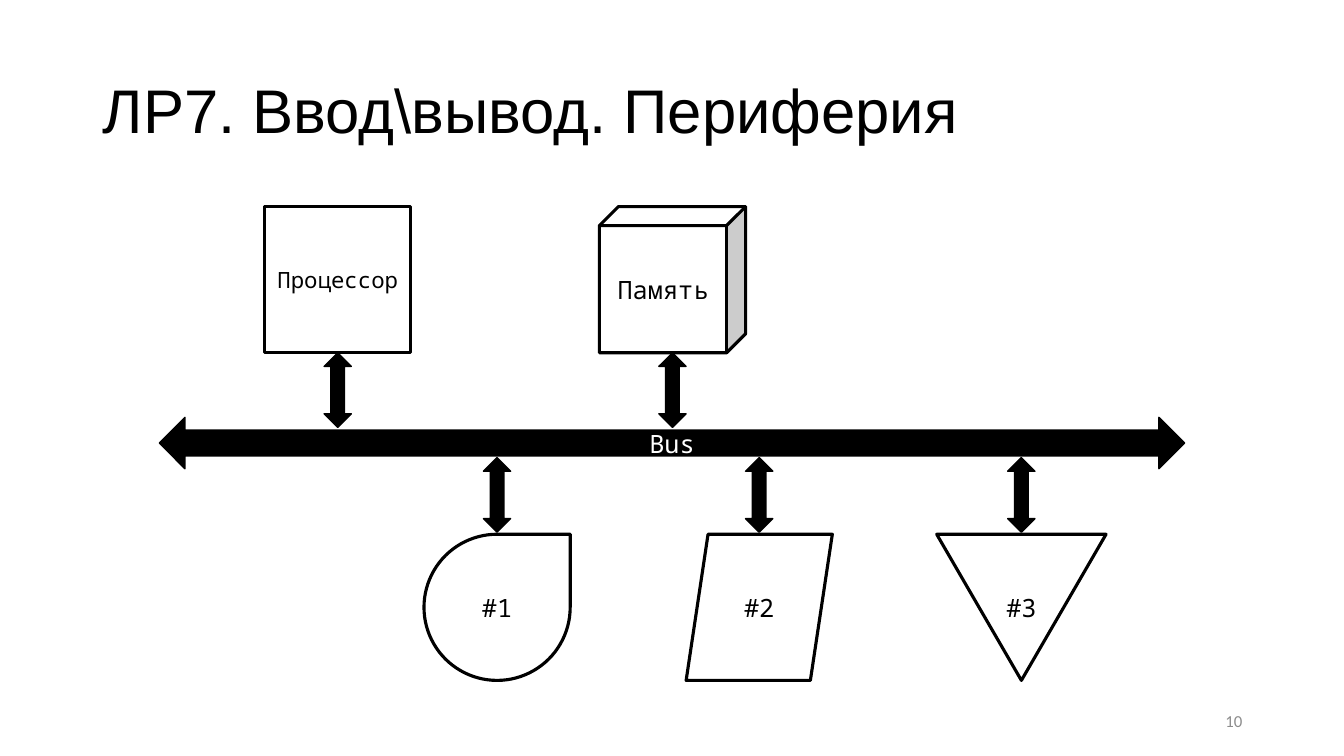
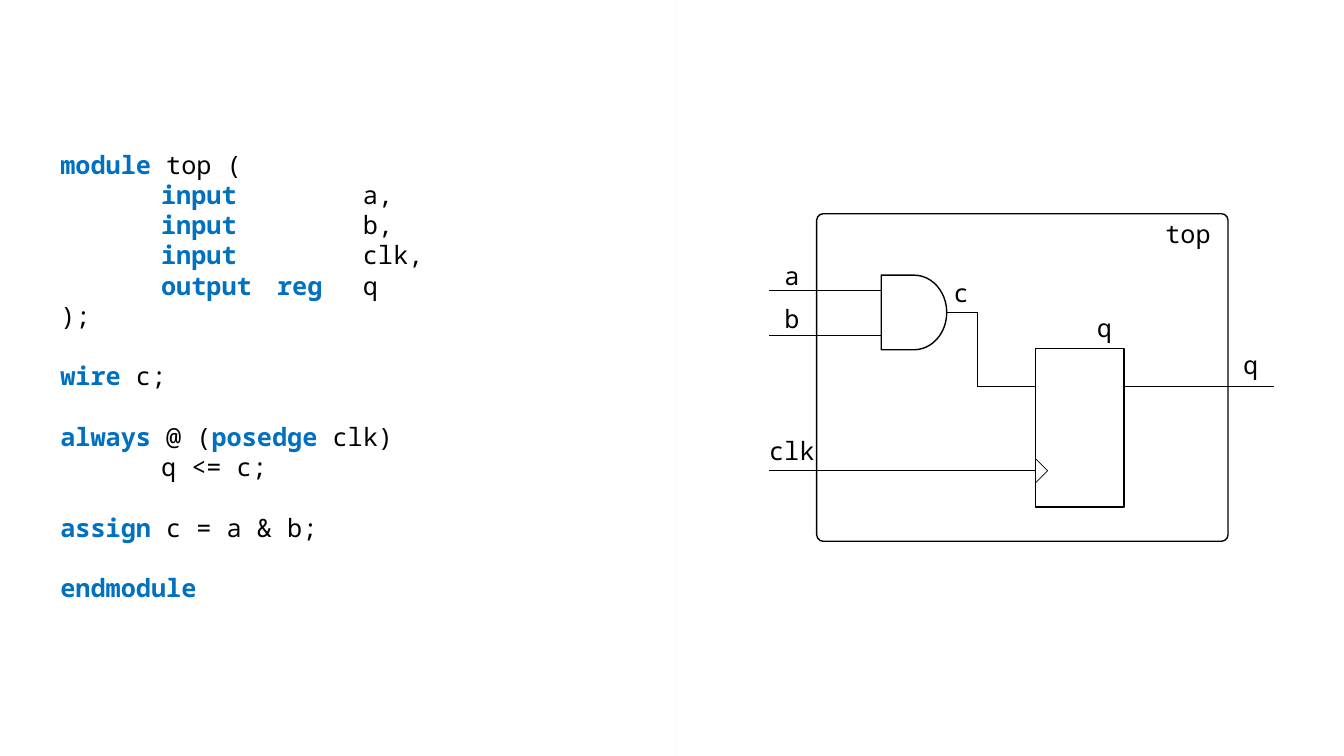
"""Build two slides: a processor bus with peripherals, and a Verilog module with its schematic."""
from dataclasses import dataclass
from itertools import pairwise

from lxml import etree
from pptx import Presentation
from pptx import util as u
from pptx.dml.color import RGBColor
from pptx.enum import shapes, text
from pptx.oxml.ns import qn


@dataclass(frozen=True)
class Theme:
    black: str = "000000"
    white: str = "FFFFFF"
    keyword: str = "0070C0"
    muted: str = "8C8C8C"
    divider: str = "F9F9F9"
    heading: str = "Arial"
    footer: str = "Calibri"
    mono: str = "Noto Sans Mono"
    title_size: float = 44
    body_size: float = 18
    small_size: float = 16
    footer_size: float = 12
    heavy: float = 2.25
    thin: float = 1
    hairline: float = 0.5
    code_gap: float = 21.6


T = Theme()
KIND = shapes.MSO_SHAPE
ALIGN = text.PP_ALIGN
WIDTH, HEIGHT = 13.33, 7.5

TITLE = "ЛР7. Ввод\\вывод. Периферия"
PAGE_NUMBER = "10"
BUS = ("Bus", (1.58, 4.14, 10.17, 0.51))
BLOCK = 1.45
ARROW_WIDTH, ARROW_HEIGHT = 0.27, 0.74
CORES_TOP, CORE_ARROWS_TOP = 2.05, 3.5
DEVICES_TOP, DEVICE_ARROWS_TOP = 5.3, 4.54
CORES = [
    ("Процессор", KIND.RECTANGLE, 3.35, T.small_size, None),
    ("Память", KIND.CUBE, 6.67, T.body_size, 0.13),
]
FIRST_DEVICE, DEVICE_STEP = 4.93, 2.6
DEVICES = [
    ("#1", KIND.TEAR, BLOCK, None),
    ("#2", KIND.PARALLELOGRAM, BLOCK, 0.15),
    ("#3", KIND.ISOSCELES_TRIANGLE, 1.68, None),
]

CODE_TABS = (1, 2.15, 3)
CODE = [
    ["|module| top (",
     "\t|input|\t\ta,",
     "\t|input|\t\tb,",
     "\t|input|\t\tclk,",
     "\t|output\treg|\tq",
     ");"],
    ["|wire| c;"],
    ["|always| @ (|posedge| clk)",
     "\tq <= c;"],
    ["|assign| c = a & b;"],
    ["|endmodule|"],
]
MODULE = (8.1, 2.12, 4.08, 3.25)
GATE = (8.74, 2.73, 0.65, 0.74)
REGISTER = (10.27, 3.46, 0.88, 1.57)
PIN_START, MODULE_LEFT, GATE_LEFT, BEND = 7.63, 8.1, 8.74, 9.69
GATE_RIGHT, REGISTER_LEFT, REGISTER_RIGHT = 9.39, 10.27, 11.15
MODULE_RIGHT, PIN_END = 12.17, 12.64
A_Y, B_Y, C_Y, Q_Y, CLOCK_Y, NOTCH = 2.88, 3.33, 3.1, 3.83, 4.67, 0.12
GATE_WIRE = [(GATE_RIGHT, C_Y), (BEND, C_Y), (BEND, Q_Y), (REGISTER_LEFT, Q_Y)]
WIRES = [
    [(PIN_START, A_Y), (MODULE_LEFT, A_Y), (GATE_LEFT, A_Y)],
    [(PIN_START, B_Y), (MODULE_LEFT, B_Y), (GATE_LEFT, B_Y)],
    [(PIN_START, CLOCK_Y), (MODULE_LEFT, CLOCK_Y), (REGISTER_LEFT, CLOCK_Y)],
    [(REGISTER_RIGHT, Q_Y), (MODULE_RIGHT, Q_Y), (PIN_END, Q_Y)],
    [(REGISTER_LEFT, CLOCK_Y - NOTCH), (REGISTER_LEFT + NOTCH, CLOCK_Y),
     (REGISTER_LEFT, CLOCK_Y + NOTCH)],
]
LABEL_WIDTH, WIDE_LABEL, LABEL_HEIGHT = 0.35, 0.66, 0.4
LABELS = [
    ("top", 11.46, 2.12), ("a", 7.68, 2.53), ("b", 7.68, 2.96), ("clk", 7.53, 4.27),
    ("q", 12.23, 3.42), ("c", 9.36, 2.7), ("q", 10.78, 3.05),
]


def inches(values):
    return [u.Inches(value) for value in values]


def style(font, size=T.body_size, name=T.mono, color=T.black, bold=False):
    font.size, font.name, font.bold = u.Pt(size), name, bold
    font.color.rgb = RGBColor.from_string(color)


def write(item, words, align=ALIGN.CENTER, **look):
    frame = item.text_frame
    frame.text = words
    frame.vertical_anchor = text.MSO_ANCHOR.MIDDLE
    paragraph = frame.paragraphs[0]
    paragraph.alignment = align
    for run in paragraph.runs:
        style(run.font, **look)
    return paragraph


def add_text(slide, words, box, align=ALIGN.LEFT, wrap=True, **look):
    item = slide.shapes.add_textbox(*inches(box))
    item.text_frame.word_wrap = wrap
    return write(item, words, align, **look)


def add_outline(slide, kind, box, fill=None, width=T.thin, adjust=None):
    item = slide.shapes.add_shape(kind, *inches(box))
    item.shadow.inherit = False
    if fill:
        item.fill.solid()
        item.fill.fore_color.rgb = RGBColor.from_string(fill)
    else:
        item.fill.background()
    item.line.color.rgb = RGBColor.from_string(T.black)
    item.line.width = u.Pt(width)
    if adjust is not None:
        item.adjustments[0] = adjust
    return item


def add_wire(slide, points, color=T.black):
    segments = []
    for start, end in pairwise(points):
        segment = slide.shapes.add_connector(
            shapes.MSO_CONNECTOR.STRAIGHT, *inches(start + end))
        segment.line.color.rgb = RGBColor.from_string(color)
        segment.line.width = u.Pt(T.hairline)
        etree.SubElement(segment._element.spPr, qn("a:effectLst"))
        segments.append(segment)
    return segments


def add_bus_arrow(slide, center, top):
    add_outline(slide, KIND.UP_DOWN_ARROW,
                (center - ARROW_WIDTH / 2, top, ARROW_WIDTH, ARROW_HEIGHT), T.black)


def build_bus(slide):
    heading = add_text(slide, TITLE, (0.92, 0.4, 11.5, 1.45),
                       size=T.title_size, name=T.heading)
    heading.line_spacing = 0.9
    add_text(slide, PAGE_NUMBER, (9.42, 6.95, 3, 0.4), ALIGN.RIGHT,
             size=T.footer_size, name=T.footer, color=T.muted)
    bus_name, bus_box = BUS
    bus = add_outline(slide, KIND.LEFT_RIGHT_ARROW, bus_box, T.black)
    write(bus, bus_name, color=T.white)
    for name, kind, center, size, adjust in CORES:
        box = (center - BLOCK / 2, CORES_TOP, BLOCK, BLOCK)
        write(add_outline(slide, kind, box, T.white, T.heavy, adjust), name, size=size)
        add_bus_arrow(slide, center, CORE_ARROWS_TOP)
    for index, (name, kind, width, adjust) in enumerate(DEVICES):
        center = FIRST_DEVICE + index * DEVICE_STEP
        box = (center - width / 2, DEVICES_TOP, width, BLOCK)
        device = add_outline(slide, kind, box, T.white, T.heavy, adjust)
        add_bus_arrow(slide, center, DEVICE_ARROWS_TOP)
        if kind == KIND.ISOSCELES_TRIANGLE:
            device.rotation = 180
            add_text(slide, name, box, ALIGN.CENTER)
        else:
            write(device, name)


def add_code(slide):
    frame = slide.shapes.add_textbox(*inches((0.5, 1.43, 6.16, 4.64))).text_frame
    frame.word_wrap = True
    paragraph = None
    for section in CODE:
        for row, line in enumerate(section):
            first = paragraph is None
            paragraph = frame.paragraphs[0] if first else frame.add_paragraph()
            if row == 0 and not first:
                paragraph.space_before = u.Pt(T.code_gap)
            stops = etree.SubElement(paragraph._p.get_or_add_pPr(), qn("a:tabLst"))
            for stop in CODE_TABS:
                etree.SubElement(stops, qn("a:tab"), pos=str(u.Inches(stop)), algn="l")
            for part, words in enumerate(line.split("|")):
                if words:
                    run = paragraph.add_run()
                    run.text = words
                    is_keyword = part % 2 == 1
                    style(run.font, color=T.keyword if is_keyword else T.black,
                          bold=is_keyword)


def build_module(slide):
    add_wire(slide, [(6.7, 0), (6.7, HEIGHT)], T.divider)
    add_code(slide)
    add_outline(slide, KIND.ROUNDED_RECTANGLE, MODULE, adjust=0.02)
    gate = add_outline(slide, KIND.FLOWCHART_DELAY, GATE)
    add_outline(slide, KIND.RECTANGLE, REGISTER)
    for points in WIRES:
        add_wire(slide, points)
    add_wire(slide, GATE_WIRE)[0].begin_connect(gate, 3)
    for name, left, top in LABELS:
        width = WIDE_LABEL if len(name) > 1 else LABEL_WIDTH
        add_text(slide, name, (left, top, width, LABEL_HEIGHT), wrap=False)


def main():
    deck = Presentation()
    deck.slide_width, deck.slide_height = inches((WIDTH, HEIGHT))
    for build in (build_bus, build_module):
        build(deck.slides.add_slide(deck.slide_layouts[6]))
    deck.save("out.pptx")


if __name__ == "__main__":
    main()
